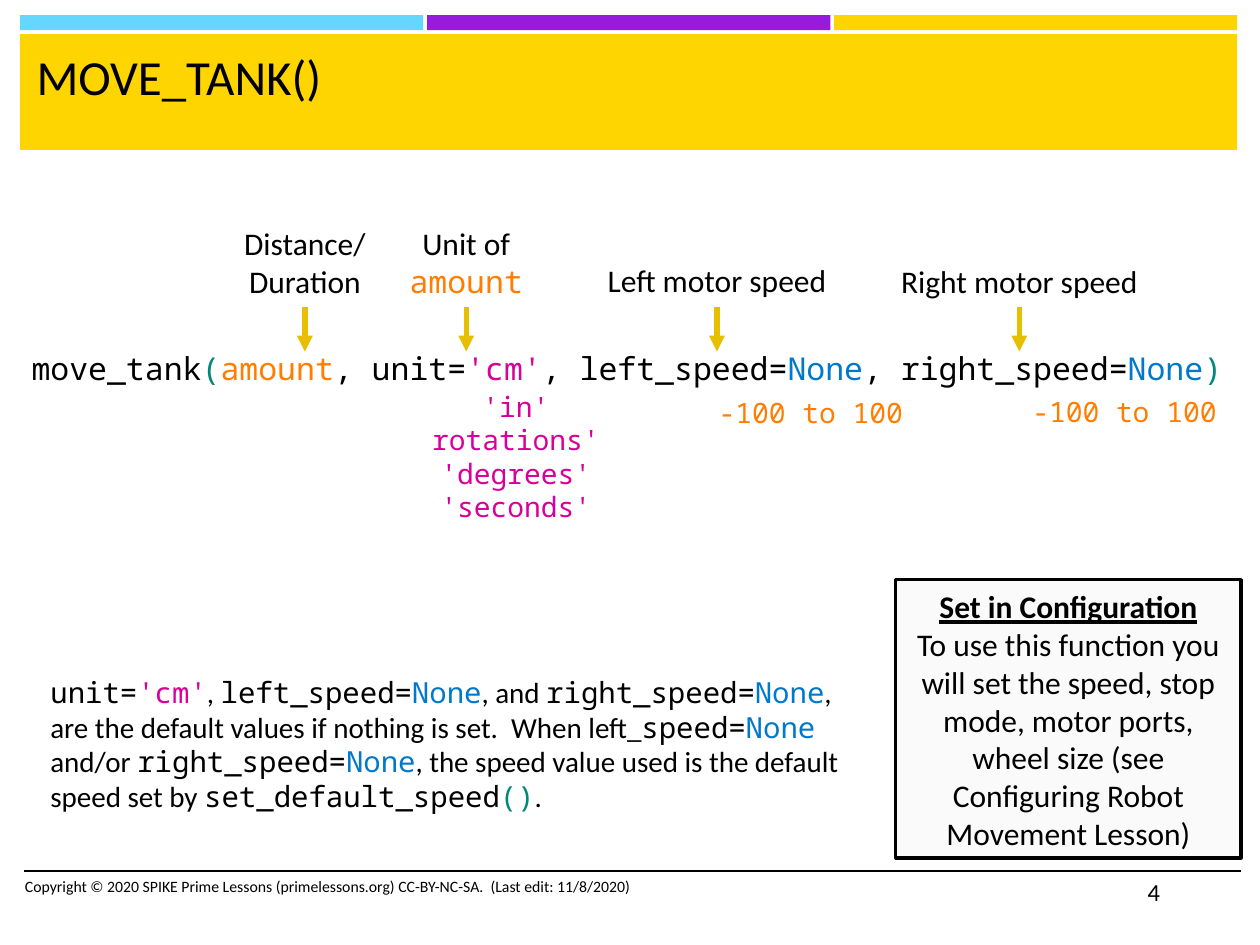
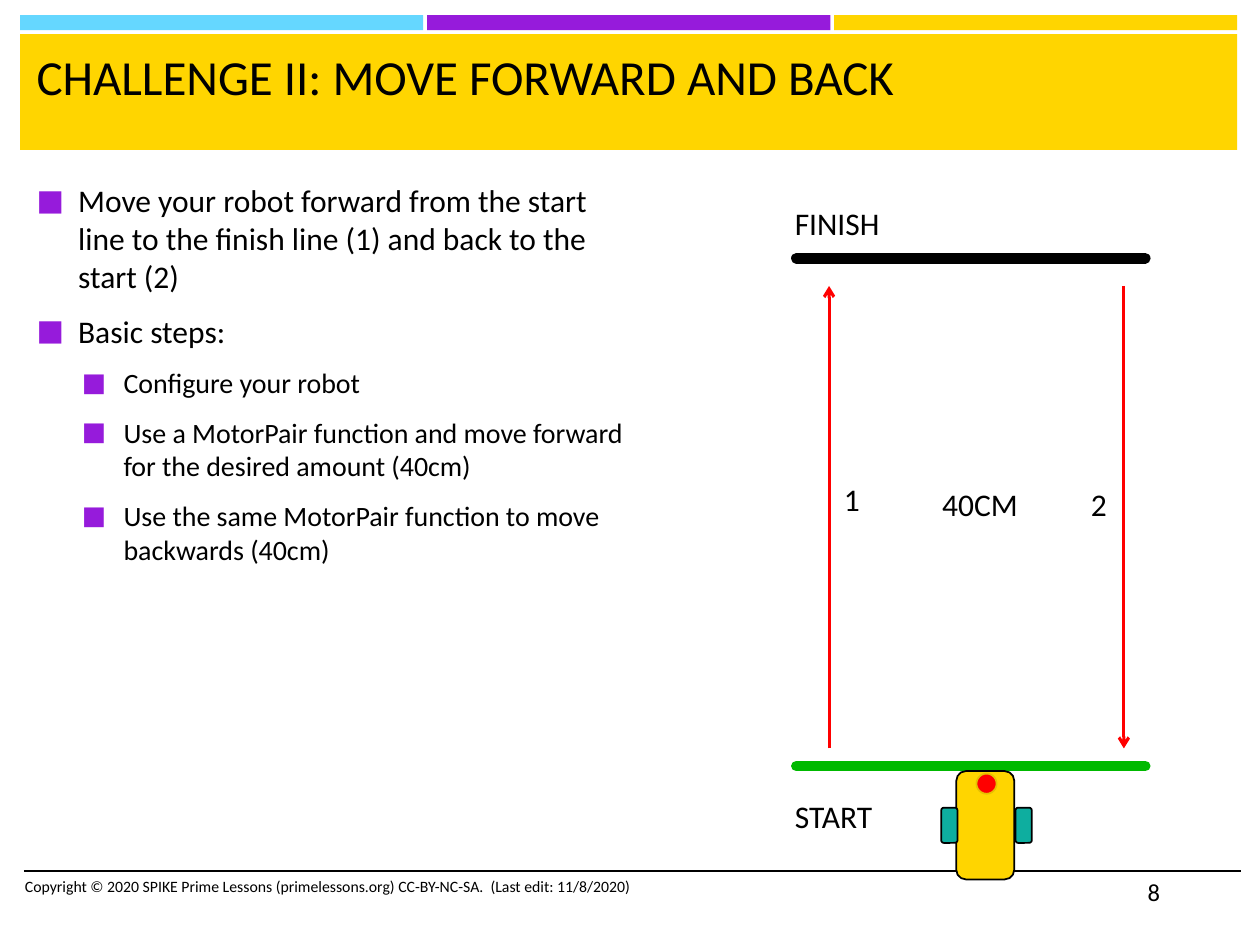
from dataclasses import dataclass
from lxml.etree import SubElement
from pptx import Presentation
from pptx.dml.color import RGBColor
from pptx.enum.shapes import MSO_CONNECTOR, MSO_SHAPE
from pptx.enum.text import MSO_ANCHOR, MSO_AUTO_SIZE, PP_ALIGN
from pptx.oxml.ns import qn
from pptx.util import Inches, Pt


@dataclass(frozen=True)
class Theme:
    sans: str = "Calibri"
    mono: str = "Noto Sans Mono"
    black: str = "000000"
    sky: str = "65D7FF"
    violet: str = "961BDB"
    gold: str = "FFD500"
    dark_gold: str = "E6C000"
    red: str = "FF0000"
    green: str = "00B900"
    teal: str = "0EAE9F"
    pale: str = "F2F2F2"
    paren: str = "00877B"
    arg: str = "FF7D00"
    quote: str = "D8009B"
    value: str = "0078CC"
    title: float = 28
    text: float = 18
    small: float = 16
    note: float = 16.6
    page: float = 14
    foot: float = 9


T = Theme()

# Run styles: font, colour, heading
STYLES = {
    "text": (T.sans, T.black, False),
    "head": (T.sans, T.black, True),
    "code": (T.mono, T.black, False),
    "paren": (T.mono, T.paren, False),
    "arg": (T.mono, T.arg, False),
    "quote": (T.mono, T.quote, False),
    "value": (T.mono, T.value, False),
}

FOOTER = ("Copyright © 2020 SPIKE Prime Lessons (primelessons.org) CC-BY-NC-SA.  "
          "(Last edit: 11/8/2020)")

CALL = [
    ("move_tank", "code"), ("(", "paren"), ("amount", "arg"),
    (", unit=", "code"), ("'cm'", "quote"),
    (", left_speed=", "code"), ("None", "value"),
    (", right_speed=", "code"), ("None", "value"), (")", "paren"),
]
# Centre, top, width, paragraphs
LABELS = [
    (2.42, 1.73, 1.93, [[("Distance/", "text")], [("Duration", "text")]]),
    (3.7, 1.73, 1.62, [[("Unit of ", "text"), ("amount", "arg")]]),
    (5.69, 2.02, 2.19, [[("Left motor speed", "text")]]),
    (8.09, 2.03, 2.19, [[("Right motor speed", "text")]]),
]
UNITS = ["'in'", "rotations'", "'degrees' 'seconds'"]
RANGE = "-100 to 100"
RANGES = [(5.57, 3.09), (8.06, 3.08)]
DEFAULTS = [
    ("unit=", "code"), ("'cm'", "quote"), (", ", "text"),
    ("left_speed=", "code"), ("None", "value"), (", and ", "text"),
    ("right_speed=", "code"), ("None", "value"),
    (", are the default values if nothing is set.  When left_", "text"),
    ("speed=", "code"), ("None ", "value"), ("and/or ", "text"),
    ("right_speed=", "code"), ("None", "value"),
    (", the speed value used is the default speed set by ", "text"),
    ("set_default_speed", "code"), ("()", "paren"), (".", "text"),
]
CONFIG = [
    [("Set in Configuration", "head")],
    [("To use this function you will set the speed, stop mode, motor ports, "
      "wheel size (see Configuring Robot Movement Lesson)", "text")],
]

STEPS = [  # Level, text
    (0, "Move your robot forward from the start line to the finish line (1) "
        "and back to the start (2)"),
    (0, "Basic steps:"),
    (1, "Configure your robot"),
    (1, "Use a MotorPair function and move forward for the desired amount (40cm)"),
    (1, "Use the same MotorPair function to move backwards (40cm)"),
]
MARKS = [  # Text, box, wrap
    ("1", (6.6, 3.76, 0.34, 0.4), True),
    ("2", (8.56, 3.8, 0.34, 0.4), True),
    ("FINISH", (6.21, 1.57, 1.03, 0.4), False),
    ("START", (6.21, 6.28, 1, 0.4), False),
    ("40CM", (7.38, 3.8, 0.9, 0.4), True),
]
LINES = [(2.05, T.black), (6.08, T.green)]
PATHS = [(6.58, 5.94, 2.27), (8.92, 2.27, 5.94)]
ROBOT = [  # Shape, box, fill, line
    (MSO_SHAPE.ROUNDED_RECTANGLE, (7.59, 6.12, 0.46, 0.86), T.gold, T.black),
    (MSO_SHAPE.ROUNDED_RECTANGLE, (8.06, 6.41, 0.13, 0.28), T.teal, T.black),
    (MSO_SHAPE.ROUNDED_RECTANGLE, (7.47, 6.41, 0.13, 0.28), T.teal, T.black),
    (MSO_SHAPE.OVAL, (7.75, 6.14, 0.16, 0.16), T.red, T.dark_gold),
]


def rgb(code):
    return RGBColor.from_string(code)


def inches(box):
    return [Inches(n) for n in box]


def add_runs(para, runs, size):
    for text, style in runs:
        run = para.add_run()
        run.text = text
        font = run.font
        font.name, color, head = STYLES[style]
        font.size = Pt(size)
        font.color.rgb = rgb(color)
        if head:
            font.bold = font.underline = True


def write(frame, paras, size, align=PP_ALIGN.LEFT, wrap=True):
    frame.word_wrap = wrap
    for i, runs in enumerate(paras):
        para = frame.add_paragraph() if i else frame.paragraphs[0]
        para.alignment = align
        add_runs(para, runs, size)


def add_text(slide, box, paras, size, align=PP_ALIGN.LEFT, wrap=True):
    frame = slide.shapes.add_textbox(*inches(box)).text_frame
    write(frame, paras, size, align, wrap)


def add_block(shapes, kind, box, fill, line=None, width=1):
    block = shapes.add_shape(kind, *inches(box))
    block.shadow.inherit = False
    block.fill.solid()
    block.fill.fore_color.rgb = rgb(fill)
    if line:
        block.line.color.rgb = rgb(line)
        block.line.width = Pt(width)
    else:
        block.line.fill.background()
    return block


def add_line(slide, ends, color, width, tip=None, cap=None):
    line = slide.shapes.add_connector(MSO_CONNECTOR.STRAIGHT, *inches(ends))
    line.line.color.rgb = rgb(color)
    line.line.width = Pt(width)
    props = line.element.spPr
    stroke = props.find(qn("a:ln"))
    if cap:
        stroke.set("cap", cap)
    if tip:
        SubElement(stroke, qn("a:tailEnd"), type=tip)
    SubElement(props, qn("a:effectLst"))


def set_bullet(para, left, hang):
    """Hang a violet square before the paragraph, or none without a hang."""
    props = para._p.get_or_add_pPr()
    props.set("marL", str(Inches(left)))
    props.set("indent", str(-Inches(hang)))
    if not hang:
        SubElement(props, qn("a:buNone"))
        return
    tint = SubElement(props, qn("a:buClr"))
    SubElement(tint, qn("a:srgbClr"), val=T.violet)
    SubElement(props, qn("a:buSzPct"), val="92000")
    SubElement(props, qn("a:buFont"), typeface=T.sans)
    SubElement(props, qn("a:buChar"), char="■")


def place(holder, box):
    holder.left, holder.top, holder.width, holder.height = inches(box)
    frame = holder.text_frame
    frame.auto_size = MSO_AUTO_SIZE.NONE
    frame.vertical_anchor = MSO_ANCHOR.TOP
    frame.word_wrap = True
    return frame


def add_slide(deck, title, page):
    """Add a slide with bands, title and footer; return it and its body."""
    slide = deck.slides.add_slide(deck.slide_layouts[1])
    head = slide.shapes.title
    bands = [((0.16 + 3.23 * i, 0.12, 3.2, 0.12), color)
             for i, color in enumerate((T.sky, T.violet, T.gold))]
    bands.append(((0.16, 0.27, 9.66, 0.92), T.gold))
    for box, color in bands:
        band = add_block(slide.shapes, MSO_SHAPE.RECTANGLE, box, color)
        head.element.addprevious(band.element)
    add_line(slide, (0.19, 6.91, 9.85, 6.91), T.black, 1)
    frame = place(head, (0.19, 0.32, 9.57, 0.82))
    write(frame, [[(title, "text")]], T.title)
    add_text(slide, (0.1, 6.91, 5.33, 0.4), [[(FOOTER, "text")]], T.foot)
    add_text(slide, (9.01, 6.91, 0.84, 0.4), [[(page, "text")]], T.page)
    return slide, slide.placeholders[1]


def add_tank(deck):
    slide, body = add_slide(deck, "MOVE_TANK()", "4")
    mid = PP_ALIGN.CENTER
    add_text(slide, (0.09, 2.72, 9.77, 0.4), [CALL], T.text, mid)
    add_text(slide, (3.23, 3.04, 1.73, 1.45),
             [[(unit, "quote")] for unit in UNITS], T.small, mid)
    for x, y in RANGES:
        add_text(slide, (x, y, 1.73, 0.37), [[(RANGE, "arg")]], T.small, mid)
    for x, top, width, paras in LABELS:
        box = (x - width / 2, top, width, 2.43 - top)
        add_text(slide, box, paras, T.text, mid)
        add_line(slide, (x, 2.44, x, 2.79), T.dark_gold, 3, "triangle")

    card = add_block(slide.shapes, MSO_SHAPE.RECTANGLE,
                     (7.11, 4.6, 2.74, 2.21), T.pale, T.black, 1.75)
    tint = card.element.spPr.find(qn("a:solidFill"))[0]
    SubElement(tint, qn("a:alpha"), val="38000")
    card.text_frame.vertical_anchor = MSO_ANCHOR.BOTTOM
    write(card.text_frame, CONFIG, T.text, mid)

    frame = place(body, (0.3, 5.3, 6.52, 1.4))
    para = frame.paragraphs[0]
    set_bullet(para, 0, 0)
    para.space_before = Pt(0)
    add_runs(para, DEFAULTS, T.note)


def add_task(deck):
    slide, body = add_slide(deck, "CHALLENGE II: MOVE FORWARD AND BACK", "8")
    frame = place(body, (0.19, 1.39, 4.98, 4.78))
    for i, (level, text) in enumerate(STEPS):
        para = frame.add_paragraph() if i else frame.paragraphs[0]
        size = T.small if level else T.text
        para.level = level
        set_bullet(para, 0.33 + 0.36 * level, 0.33)
        para.space_before = Pt(0.2 * size if i else 0)
        para.space_after = Pt(6)
        add_runs(para, [(text, "text")], size)

    for y, color in LINES:
        add_line(slide, (9.09, y, 6.32, y), color, 6, cap="rnd")
    for x, start, end in PATHS:
        add_line(slide, (x, start, x, end), T.red, 1.75, "arrow")
    for text, box, wrap in MARKS:
        add_text(slide, box, [[(text, "text")]], T.text, wrap=wrap)
    robot = slide.shapes.add_group_shape()
    for kind, box, fill, line in ROBOT:
        add_block(robot.shapes, kind, box, fill, line)


def main():
    deck = Presentation()
    deck.slide_width, deck.slide_height = Inches(10), Inches(7.5)
    add_tank(deck)
    add_task(deck)
    deck.save("out.pptx")


if __name__ == "__main__":
    main()
